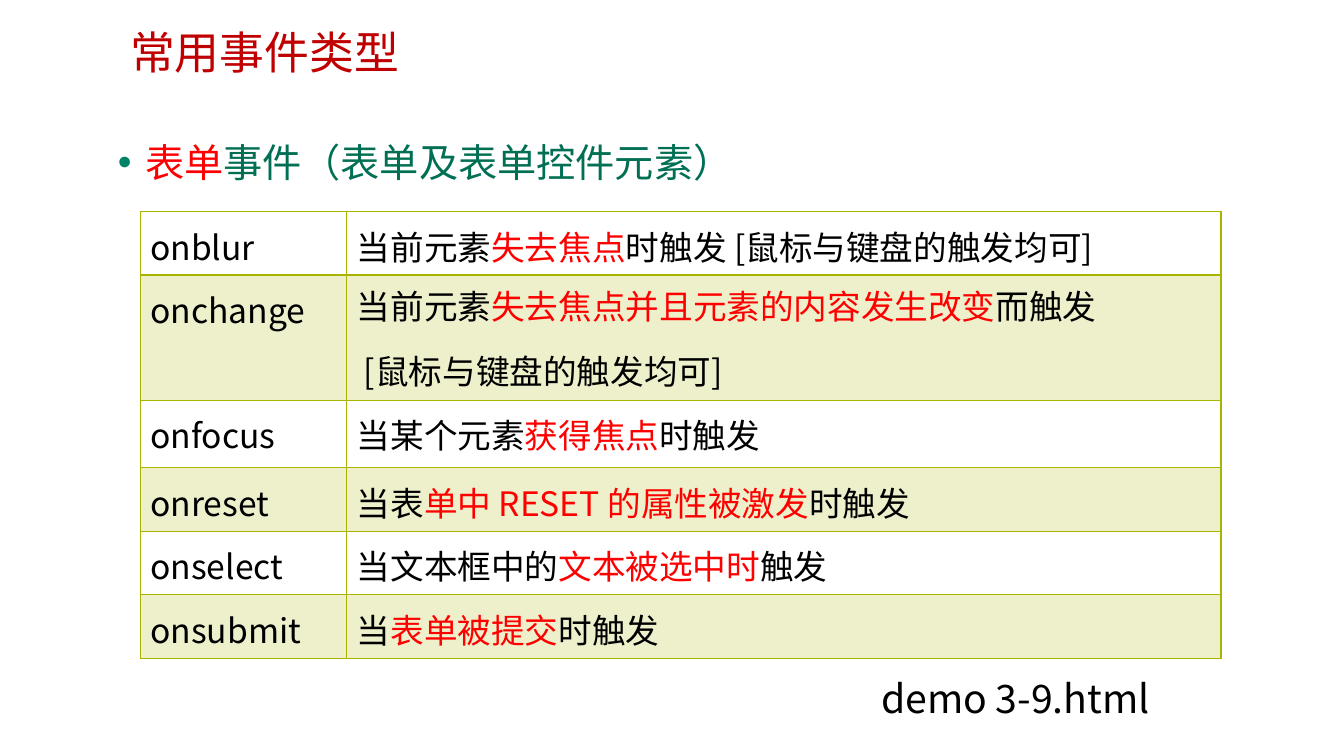
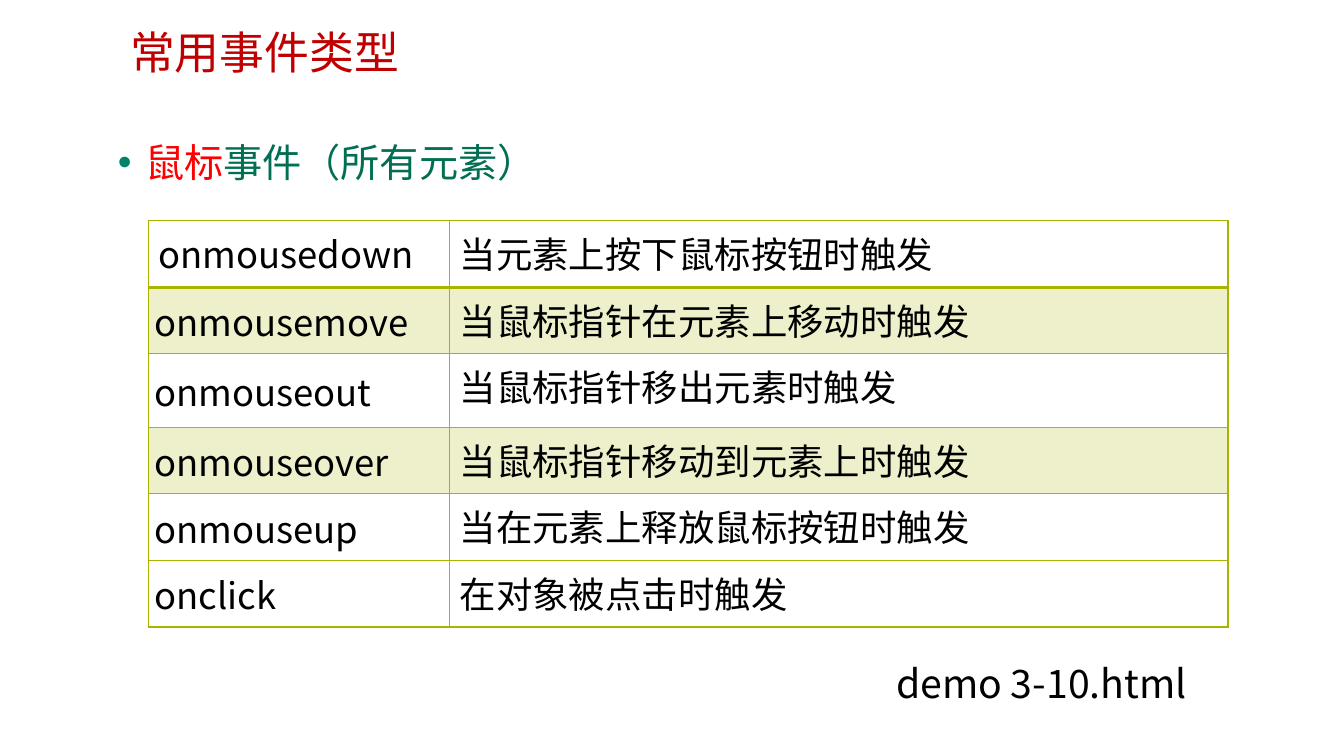
from pptx import Presentation
from pptx.dml.color import RGBColor
from pptx.enum.text import MSO_ANCHOR, MSO_AUTO_SIZE, PP_ALIGN
from pptx.oxml import parse_xml
from pptx.oxml.ns import nsdecls
from pptx.util import Inches, Pt

LEFT = PP_ALIGN.LEFT
TOP, MIDDLE = MSO_ANCHOR.TOP, MSO_ANCHOR.MIDDLE
NO_FIT = MSO_AUTO_SIZE.NONE

BLACK = RGBColor(0x00, 0x00, 0x00)
WHITE = RGBColor(0xFF, 0xFF, 0xFF)
RED = RGBColor(0xFF, 0x00, 0x00)
TITLE_RED = RGBColor(0xC0, 0x00, 0x00)
GREEN = RGBColor(0x00, 0x6F, 0x53)
BULLET_GREEN = RGBColor(0x00, 0x84, 0x69)
OLIVE = RGBColor(0xA8, 0xB4, 0x00)
PALE_OLIVE = RGBColor(0xEE, 0xF0, 0xCC)

CJK_FONT = "Noto Sans CJK SC"
MARK = "|"
TITLE = "常用事件类型"
TITLE_BOX = (1.19, 0.26, 8.96, 0.54)
TIGHT_MARGINS = (0.06, 0.06, 0.16, 0.06)


def write(frame, text, size, color=BLACK, font=CJK_FONT, line=None, gap=0):
    """Fill a frame; every second part between marks is red."""
    frame.word_wrap = True
    for index, content in enumerate(text.split("\n")):
        para = frame.paragraphs[0] if index == 0 else frame.add_paragraph()
        para.alignment = LEFT
        para.line_spacing = line
        para.space_before = para.space_after = Pt(gap)
        for order, part in enumerate(content.split(MARK)):
            if not part:
                continue
            span = para.add_run()
            span.text = part
            span.font.size = Pt(size)
            span.font.name = font
            span.font.color.rgb = RED if order % 2 else color
            span.font._element.append(
                parse_xml(f'<a:ea {nsdecls("a")} typeface="{CJK_FONT}"/>'))


def indent(para, margin, first=0.0):
    properties = para._p.get_or_add_pPr()
    properties.set("marL", str(Inches(margin)))
    properties.set("indent", str(Inches(first)))
    return properties


def add_text(page, box, text, size, **style):
    frame = page.shapes.add_textbox(*map(Inches, box)).text_frame
    write(frame, text, size, **style)
    return frame


def add_title(page, box):
    title = page.shapes.title
    title.left, title.top, title.width, title.height = map(Inches, box)
    frame = title.text_frame
    frame.auto_size = NO_FIT
    frame.vertical_anchor = TOP
    write(frame, TITLE, 32, color=TITLE_RED, line=0.9)


def add_topic(page, box, text):
    frame = add_text(page, box, text, 28, color=GREEN)
    frame.vertical_anchor = MIDDLE
    properties = indent(frame.paragraphs[0], 0.27, -0.27)
    for xml in (f'<a:buClr {nsdecls("a")}><a:srgbClr val="{BULLET_GREEN}"/></a:buClr>',
                f'<a:buFont {nsdecls("a")} typeface="Arial"/>',
                f'<a:buChar {nsdecls("a")} char="•"/>'):
        properties.append(parse_xml(xml))


def set_borders(cell, widths):
    properties = cell._tc.get_or_add_tcPr()
    for side, width in zip("LRTB", widths):
        properties.append(parse_xml(
            f'<a:ln{side} {nsdecls("a")} w="{Pt(width)}"><a:solidFill>'
            f'<a:srgbClr val="{OLIVE}"/></a:solidFill></a:ln{side}>'))


def set_margins(cell, margins):
    (cell.margin_left, cell.margin_top,
     cell.margin_right, cell.margin_bottom) = map(Inches, margins)


def add_events(page, corner, columns, heights, events, size, font=CJK_FONT, tight_from=None):
    box = (*corner, sum(columns), sum(heights))
    table = page.shapes.add_table(len(events), 2, *map(Inches, box)).table
    table.first_row = table.horz_banding = False
    for column, width in zip(table.columns, columns):
        column.width = Inches(width)
    for index, (row, height, event) in enumerate(zip(table.rows, heights, events)):
        row.height = Inches(height)
        for cell, text, face in zip(row.cells, event, (CJK_FONT, font)):
            line = None if "\n" in text else Pt(38)
            write(cell.text_frame, text, size, font=face, line=line, gap=6)
            set_borders(cell, (1, 1, 2 if index == 1 else 1, 1 if index else 2))
            cell.fill.solid()
            cell.fill.fore_color.rgb = PALE_OLIVE if index % 2 else WHITE
        if tight_from is not None and index >= tight_from:
            set_margins(row.cells[0], TIGHT_MARGINS)
            row.cells[0].vertical_anchor = MIDDLE
    return table


def add_page(deck, topic, topic_width, demo, demo_corner):
    page = deck.slides.add_slide(deck.slide_layouts[5])
    add_title(page, TITLE_BOX)
    add_topic(page, (1.07, 1.11, topic_width, 1), topic)
    add_text(page, (*demo_corner, 3.39, 0.57), demo, 28)
    return page


FORM_EVENTS = [
    ("onblur", "当前元素|失去焦点|时触发 [鼠标与键盘的触发均可]"),
    ("onchange", "当前元素|失去焦点并且元素的内容发生改变|而触发\n[鼠标与键盘的触发均可]"),
    ("onfocus", "当某个元素|获得焦点|时触发"),
    ("onreset", "当表|单中 RESET 的属性被激发|时触发"),
    ("onselect", "当文本框中的|文本被选中时|触发"),
    ("onsubmit", "当|表单被提交|时触发"),
]
MOUSE_EVENTS = [
    ("onmousedown", "当元素上按下鼠标按钮时触发"),
    ("onmousemove", "当鼠标指针在元素上移动时触发"),
    ("onmouseout", "当鼠标指针移出元素时触发"),
    ("onmouseover", "当鼠标指针移动到元素上时触发"),
    ("onmouseup", "当在元素上释放鼠标按钮时触发"),
]
CLICK_EVENTS = [("onclick", "在对象被点击时触发")]

deck = Presentation()
deck.slide_width, deck.slide_height = Inches(13.33), Inches(7.5)

form_page = add_page(deck, "|表单|事件（表单及表单控件元素）", 9.11,
                     "demo 3-9.html", (8.64, 6.64))
form_table = add_events(form_page, (1.39, 2.1), (2.05, 8.67),
                        (0.63, 1.24, 0.67, 0.63, 0.63, 0.63), FORM_EVENTS, 24)
indent(form_table.cell(1, 1).text_frame.paragraphs[1], 0.07)

mouse_page = add_page(deck, "|鼠标|事件（所有元素）", 7.97,
                      "demo 3-10.html", (8.79, 6.49))
mouse_columns = (2.99, 7.72)
add_events(mouse_page, (1.47, 2.19), mouse_columns, (0.66, 0.66, 0.73, 0.66, 0.66),
           MOUSE_EVENTS, 26, font="Arial", tight_from=1)
add_events(mouse_page, (1.47, 5.56), mouse_columns, (0.66,),
           CLICK_EVENTS, 26, font="Arial", tight_from=0)

deck.save("out.pptx")
